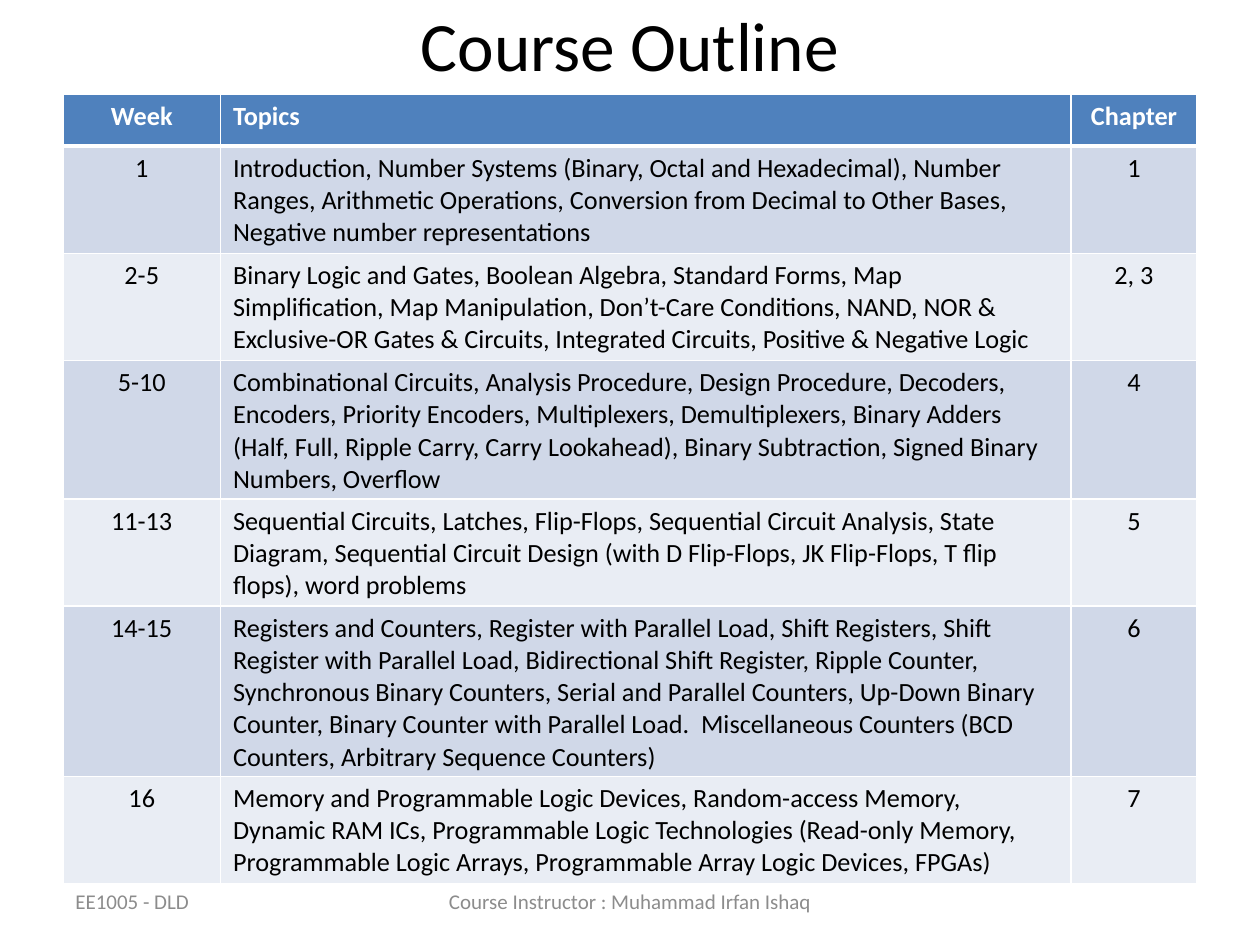
from lxml import etree
from pptx import Presentation, util as u
from pptx.dml.color import RGBColor
from pptx.enum import text
from pptx.oxml import ns

HUES = {"head": "4F81BD", "odd": "D0D8E8", "even": "E9EDF4",
        "ink": "000000", "white": "FFFFFF", "note": "8C8C8C"}
FACE = "Calibri"
MID, LEFT = text.PP_ALIGN.CENTER, text.PP_ALIGN.LEFT
WIDE, HIGH = u.Inches(10), u.Inches(7.5)

HEAD = ("Week", "Topics", "Chapter")
PLAN = [
    ("1", "Introduction, Number Systems (Binary, Octal and Hexadecimal), Number "
     "Ranges, Arithmetic Operations, Conversion from Decimal to Other Bases, "
     "Negative number representations", "1"),
    ("2-5", "Binary Logic and Gates, Boolean Algebra, Standard Forms, Map "
     "Simplification, Map Manipulation, Don’t-Care Conditions, NAND, NOR & "
     "Exclusive-OR Gates & Circuits, Integrated Circuits, Positive & Negative Logic",
     "2, 3"),
    ("5-10", "Combinational Circuits, Analysis Procedure, Design Procedure, Decoders, "
     "Encoders, Priority Encoders, Multiplexers, Demultiplexers, Binary Adders "
     "(Half, Full, Ripple Carry, Carry Lookahead), Binary Subtraction, Signed Binary "
     "Numbers, Overflow", "4"),
    ("11-13", "Sequential Circuits, Latches, Flip-Flops, Sequential Circuit Analysis, "
     "State Diagram, Sequential Circuit Design (with D Flip-Flops, JK Flip-Flops, "
     "T flip flops), word problems", "5"),
    ("14-15", "Registers and Counters, Register with Parallel Load, Shift Registers, "
     "Shift Register with Parallel Load, Bidirectional Shift Register, Ripple Counter, "
     "Synchronous Binary Counters, Serial and Parallel Counters, Up-Down Binary "
     "Counter, Binary Counter with Parallel Load.  Miscellaneous Counters (BCD "
     "Counters, Arbitrary Sequence Counters)", "6"),
    ("16", "Memory and Programmable Logic Devices, Random-access Memory, Dynamic RAM "
     "ICs, Programmable Logic Technologies (Read-only Memory, Programmable Logic "
     "Arrays, Programmable Array Logic Devices, FPGAs)", "7"),
]


def area(x, y, w, h):
    """Turn percentages of the slide into a box."""
    return (int(WIDE * x / 100), int(HIGH * y / 100),
            int(WIDE * w / 100), int(HIGH * h / 100))


def write(frame, words, size, hue, align, bold=False):
    para = frame.paragraphs[0]
    para.text, para.alignment = words, align
    font = para.font
    font.name, font.size, font.bold = FACE, u.Pt(size), bold
    font.color.rgb = RGBColor.from_string(HUES[hue])


def label(slide, box, words, size, hue, align):
    frame = slide.shapes.add_textbox(*box).text_frame
    frame.word_wrap = True
    frame.vertical_anchor = text.MSO_ANCHOR.MIDDLE
    write(frame, words, size, hue, align)


def edge(cell, base):
    """Draw white borders; base is the width of the bottom one."""
    props = cell._tc.get_or_add_tcPr()
    for spot, (side, width) in enumerate(zip("LRTB", (1, 1, 1, base))):
        line = etree.Element(ns.qn("a:ln" + side), w=str(u.Pt(width)))
        fill = etree.SubElement(line, ns.qn("a:solidFill"))
        etree.SubElement(fill, ns.qn("a:srgbClr"), val=HUES["white"])
        props.insert(spot, line)


def outline(slide, box):
    """Fill the box with the week plan; rows grow with their text."""
    rows = [HEAD] + PLAN
    frame = slide.shapes.add_table(len(rows), len(HEAD), *box)
    table = frame.table
    for col, share in zip(table.columns, (5, 27, 4)):
        col.width = box[2] * share // 36
    for r, row in enumerate(rows):
        table.rows[r].height = u.Inches(0.41)
        top = r == 0
        back = "head" if top else ("even", "odd")[r % 2]
        for c, words in enumerate(row):
            cell = table.cell(r, c)
            cell.fill.solid()
            cell.fill.fore_color.rgb = RGBColor.from_string(HUES[back])
            edge(cell, 3 if top else 1)
            write(cell.text_frame, words, 15, "white" if top else "ink",
                  LEFT if c == 1 else MID, top)
    frame.height = box[3]


def footer(slide, box):
    """Course code at the left, instructor in the middle."""
    x, y, w, h = box
    label(slide, (x, y, int(w * 0.26), h), "EE1005 - DLD", 12, "note", LEFT)
    mid = int(w * 0.352)
    label(slide, (x + (w - mid) // 2, y, mid, h),
          "Course Instructor : Muhammad Irfan Ishaq", 12, "note", MID)


def main():
    deck = Presentation()
    deck.slide_width, deck.slide_height = WIDE, HIGH
    slide = deck.slides.add_slide(deck.slide_layouts[6])
    # Title
    label(slide, area(5, 0, 90, 9.33), "Course Outline", 39.6, "ink", MID)
    # Week plan
    outline(slide, area(5, 10, 90, 83.47))
    # Footer
    footer(slide, area(5, 92.67, 90, 5.33))
    deck.save("out.pptx")


if __name__ == "__main__":
    main()
